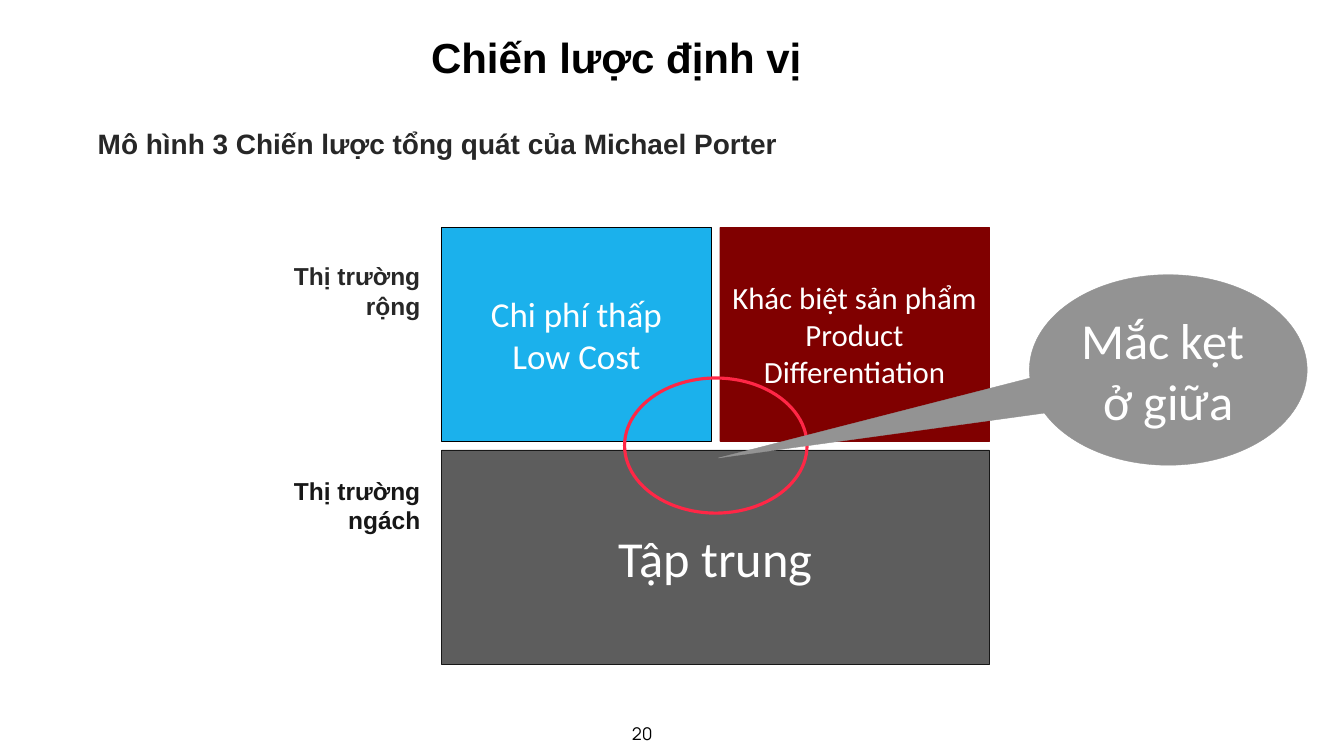
from pptx import Presentation
from pptx.dml.color import RGBColor
from pptx.enum.shapes import MSO_SHAPE
from pptx.enum.text import MSO_ANCHOR, PP_ALIGN
from pptx.util import Pt

GRID_LEFT, GRID_TOP = 630.7, 324.7
CELL_WIDTH, CELL_HEIGHT, GAP = 385.2, 306, 12
LABEL_LEFT, LABEL_WIDTH, LABEL_HEIGHT = 358.5, 249, 92


def colour(value):
    return RGBColor.from_string(value)


def write(shape, text, size, font_name, text_colour, align, bold=False):
    """Put text in a shape, one paragraph a line, in a single style."""
    frame = shape.text_frame
    frame.text = text
    frame.word_wrap = True
    for paragraph in frame.paragraphs:
        paragraph.alignment = align
        for span in paragraph.runs:
            span.font.size = Pt(size)
            span.font.name = font_name
            span.font.bold = bold
            span.font.color.rgb = colour(text_colour)


def add_title(page, text):
    title = page.shapes.title
    title.left, title.top, title.width, title.height = (
        Pt(608.4), Pt(33), Pt(1237), Pt(105))
    write(title, text, 60, "Arial", "000000", PP_ALIGN.LEFT, bold=True)
    title.text_frame.vertical_anchor = MSO_ANCHOR.MIDDLE
    title.text_frame.paragraphs[0].line_spacing = 0.9


def add_text(page, text, left, top, width, height, size, text_colour,
             align=PP_ALIGN.LEFT, font_name="Arial", bold=True):
    box = page.shapes.add_textbox(Pt(left), Pt(top), Pt(width), Pt(height))
    write(box, text, size, font_name, text_colour, align, bold)


def add_figure(page, kind, left, top, width, height, fill, line, line_width=0.5):
    shape = page.shapes.add_shape(kind, Pt(left), Pt(top), Pt(width), Pt(height))
    shape.shadow.inherit = False
    if fill:
        shape.fill.solid()
        shape.fill.fore_color.rgb = colour(fill)
    else:
        shape.fill.background()
    shape.line.color.rgb = colour(line)
    shape.line.width = Pt(line_width)
    return shape


def add_strategy(page, text, column, row, columns, fill, line, size):
    """Add a grid cell that spans the given number of columns."""
    cell = add_figure(
        page, MSO_SHAPE.RECTANGLE,
        GRID_LEFT + column * (CELL_WIDTH + GAP),
        GRID_TOP + row * (CELL_HEIGHT + GAP),
        columns * CELL_WIDTH + (columns - 1) * GAP, CELL_HEIGHT, fill, line)
    write(cell, text, size, "Calibri", "FFFFFF", PP_ALIGN.CENTER)
    cell.text_frame.vertical_anchor = MSO_ANCHOR.MIDDLE


def add_market_label(page, text, row, text_colour):
    top = 370 + row * 306
    add_text(page, text, LABEL_LEFT, top, LABEL_WIDTH, LABEL_HEIGHT, 35,
             text_colour, PP_ALIGN.RIGHT)


def add_callout(page, text):
    callout = add_figure(page, MSO_SHAPE.OVAL_CALLOUT, 1470.2, 392.4, 396.7, 272.2,
                         "939393", "939393")
    callout.adjustments[0] = -1.62
    callout.adjustments[1] = 0.462
    write(callout, text, 72, "Calibri", "FFFFFF", PP_ALIGN.CENTER)
    callout.text_frame.vertical_anchor = MSO_ANCHOR.MIDDLE


def main():
    deck = Presentation()
    deck.slide_width, deck.slide_height = Pt(1919.52), Pt(1080)
    page = deck.slides.add_slide(deck.slide_layouts[5])

    add_text(page, "20", 860.4, 1029, 113.8, 37.4, 25, "000000",
             PP_ALIGN.CENTER, "Manrope", bold=False)
    add_title(page, "Chiến lược định vị")
    add_text(page, "Mô hình 3 Chiến lược tổng quát của Michael Porter",
             132.5, 177, 1247, 55.4, 40, "272727")

    add_strategy(page, "Chi phí thấp\nLow Cost", 0, 0, 1, "1BB1EC", "000000", 50)
    add_strategy(page, "Khác biệt sản phẩm\nProduct Differentiation",
                 1, 0, 1, "800000", "800000", 44)
    add_strategy(page, "Tập trung", 0, 1, 2, "5D5D5D", "171717", 72)

    add_market_label(page, "Thị trường rộng", 0, "272727")
    add_market_label(page, "Thị trường ngách", 1, "171717")

    add_figure(page, MSO_SHAPE.OVAL, 892, 540, 260.6, 193, None, "FF2746", 4.5)
    add_callout(page, "Mắc kẹt \nở giữa")

    deck.save("out.pptx")


if __name__ == "__main__":
    main()
